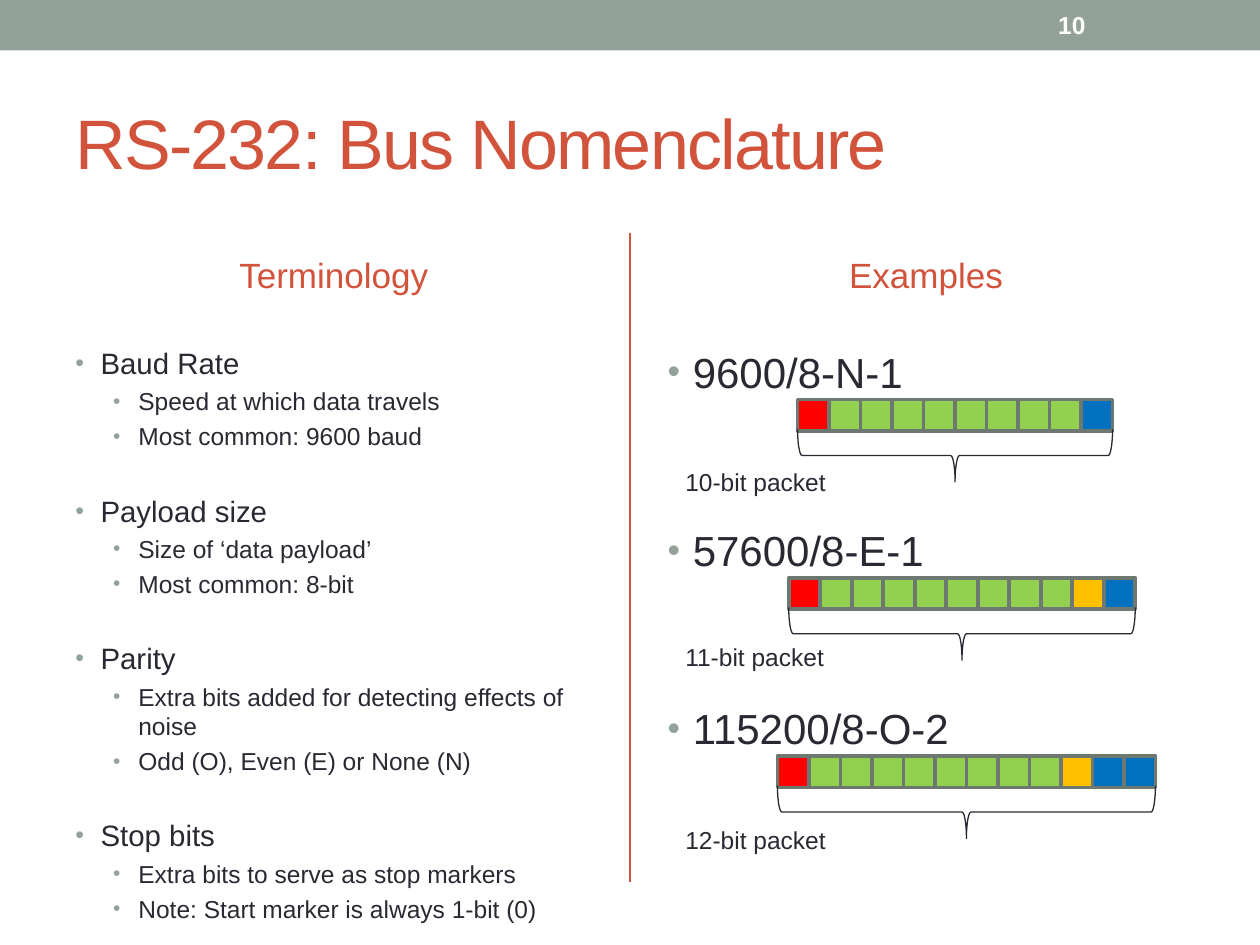
from lxml.etree import SubElement
from pptx import Presentation
from pptx.dml.color import RGBColor
from pptx.enum.shapes import MSO_CONNECTOR as Connector, MSO_SHAPE as Shape
from pptx.enum.text import MSO_ANCHOR as Anchor, PP_ALIGN as Align
from pptx.oxml.ns import qn
from pptx.util import Inches, Pt

COLUMNS, ROWS = 40, 30
SLIDE_WIDTH, SLIDE_HEIGHT = Inches(10), Inches(7.5)
COLORS = {
    "band": "93A299", "accent": "D2533C", "ink": "292934", "white": "FFFFFF",
    "outline": "6D7871", "start": "FF0000", "data": "92D050",
    "parity": "FFC000", "stop": "0070C0",
}
TERMS = [
    ("Baud Rate", ["Speed at which data travels", "Most common: 9600 baud"]),
    ("Payload size", ["Size of ‘data payload’", "Most common: 8-bit"]),
    ("Parity", ["Extra bits added for detecting effects of noise",
                "Odd (O), Even (E) or None (N)"]),
    ("Stop bits", ["Extra bits to serve as stop markers",
                   "Note: Start marker is always 1-bit (0)"]),
]
PACKETS = [
    ("9600/8-N-1", 0, 1, 25.32, 1.96),
    ("57600/8-E-1", 1, 1, 25.04, 1.84),
    ("115200/8-O-2", 1, 2, 24.68, 2),
]
PACKET_PITCH = 5.66


def color(name):
    return RGBColor.from_string(COLORS[name])


def across(columns):
    return round(SLIDE_WIDTH * columns / COLUMNS)


def down(rows):
    return round(SLIDE_HEIGHT * rows / ROWS)


def place(box):
    left, top, width, height = box
    return across(left), down(top), across(width), down(height)


def add_shape(slide, kind, box, fill=None, line=None, weight=1):
    shape = slide.shapes.add_shape(kind, *place(box))
    shape.shadow.inherit = False
    if fill:
        shape.fill.solid()
        shape.fill.fore_color.rgb = color(fill)
    else:
        shape.fill.background()
    if line:
        shape.line.color.rgb = color(line)
        shape.line.width = Pt(weight)
    else:
        shape.line.fill.background()
    return shape


def add_bullet(paragraph, indent):
    properties = paragraph._p.get_or_add_pPr()
    properties.set("marL", str(Inches(indent)))
    properties.set("indent", str(Inches(-0.2)))
    bullet_color = SubElement(properties, qn("a:buClr"))
    SubElement(bullet_color, qn("a:srgbClr"), val=COLORS["band"])
    SubElement(properties, qn("a:buSzPct"), val="85000")
    SubElement(properties, qn("a:buFont"), typeface="Arial")
    SubElement(properties, qn("a:buChar"), char="•")


def write(paragraph, text, size=14, ink="ink", bold=False, align=Align.LEFT,
          before=0, indent=None, tracking=0):
    if indent is not None:
        add_bullet(paragraph, indent)
    paragraph.alignment = align
    paragraph.space_before = Pt(before)
    run = paragraph.add_run()
    run.text = text
    run.font.name = "Arial"
    run.font.size = Pt(size)
    run.font.bold = bold
    run.font.color.rgb = color(ink)
    if tracking:
        run._r.get_or_add_rPr().set("spc", str(tracking * 100))


def add_text(slide, box, lines, anchor=Anchor.TOP, wrap=True):
    frame = slide.shapes.add_textbox(*place(box)).text_frame
    frame.word_wrap = wrap
    frame.vertical_anchor = anchor
    for index, (text, style) in enumerate(lines):
        paragraph = frame.add_paragraph() if index else frame.paragraphs[0]
        write(paragraph, text, **style)


def add_header(slide, box):
    left, top, width, height = box
    add_shape(slide, Shape.RECTANGLE, box, fill="band")
    number_box = (left + width * 0.83, top, width * 0.12, height)
    number = ("10", dict(ink="white", bold=True))
    add_text(slide, number_box, [number], anchor=Anchor.MIDDLE)


def add_title(slide, box):
    title = ("RS-232: Bus Nomenclature", dict(size=40, ink="accent", tracking=-1))
    add_text(slide, box, [title], anchor=Anchor.MIDDLE)


def add_divider(slide, box):
    left, top, width, height = box
    line = slide.shapes.add_connector(
        Connector.STRAIGHT, across(left), down(top), across(left + width), down(top + height))
    line.line.color.rgb = color("accent")
    line.line.width = Pt(1.5)
    SubElement(line._element.spPr, qn("a:effectLst"))


def add_heading(slide, box, text):
    heading = (text, dict(size=20, ink="accent", align=Align.CENTER))
    add_text(slide, box, [heading], anchor=Anchor.MIDDLE)


def add_terminology(slide, box):
    left, top, width, height = box
    add_heading(slide, (left, top, width, 2.8), "Terminology")
    lines = []
    for index, (term, notes) in enumerate(TERMS):
        lines.append((term, dict(size=16.8, indent=0.2, before=24 if index else 0)))
        lines += [(note, dict(indent=0.5, before=3.3)) for note in notes]
    add_text(slide, (left, top + 3.44, width, height - 3.44), lines)


def add_packet(slide, box, bits, caption_box):
    left, top, width, height = box
    for index, bit in enumerate(bits):
        add_shape(slide, Shape.RECTANGLE, (left + index, top, 1, height),
                  fill=bit, line="outline", weight=2.08)
    depth = 1.68
    brace_top = top + height - 0.06
    brace_box = (left + (width - depth) / 2, brace_top + (depth - width) / 2, depth, width)
    brace = add_shape(slide, Shape.RIGHT_BRACE, brace_box, line="ink", weight=0.75)
    brace.rotation = 90
    add_text(slide, caption_box, [(f"{len(bits)}-bit packet", {})], wrap=False)


def add_examples(slide, box):
    left, top, width, height = box
    add_heading(slide, (left, top, width, 2.8), "Examples")
    lines = [(packet[0], dict(size=24, indent=0.2, before=73 if index else 0))
             for index, packet in enumerate(PACKETS)]
    add_text(slide, (left, top + 3.48, width, height - 3.48), lines)
    for index, (_, parity, stops, bits_left, caption_drop) in enumerate(PACKETS):
        bits = ["start"] + ["data"] * 8 + ["parity"] * parity + ["stop"] * stops
        bits_top = top + 5.36 + index * PACKET_PITCH
        caption_box = (left + 0.56, bits_top + caption_drop, 5.28, 1.36)
        add_packet(slide, (bits_left, bits_top, len(bits), 1), bits, caption_box)


def main():
    presentation = Presentation()
    presentation.slide_width, presentation.slide_height = SLIDE_WIDTH, SLIDE_HEIGHT
    slide = presentation.slides.add_slide(presentation.slide_layouts[6])
    add_header(slide, (0, 0, COLUMNS, 1.6))
    add_title(slide, (2, 2.32, 36, 4.32))
    add_divider(slide, (20, 7.4, 0, 20.6))
    add_terminology(slide, (2, 7.32, 17.2, 20.64))
    add_examples(slide, (20.8, 7.32, 17.2, 20.64))
    presentation.save("out.pptx")


if __name__ == "__main__":
    main()
